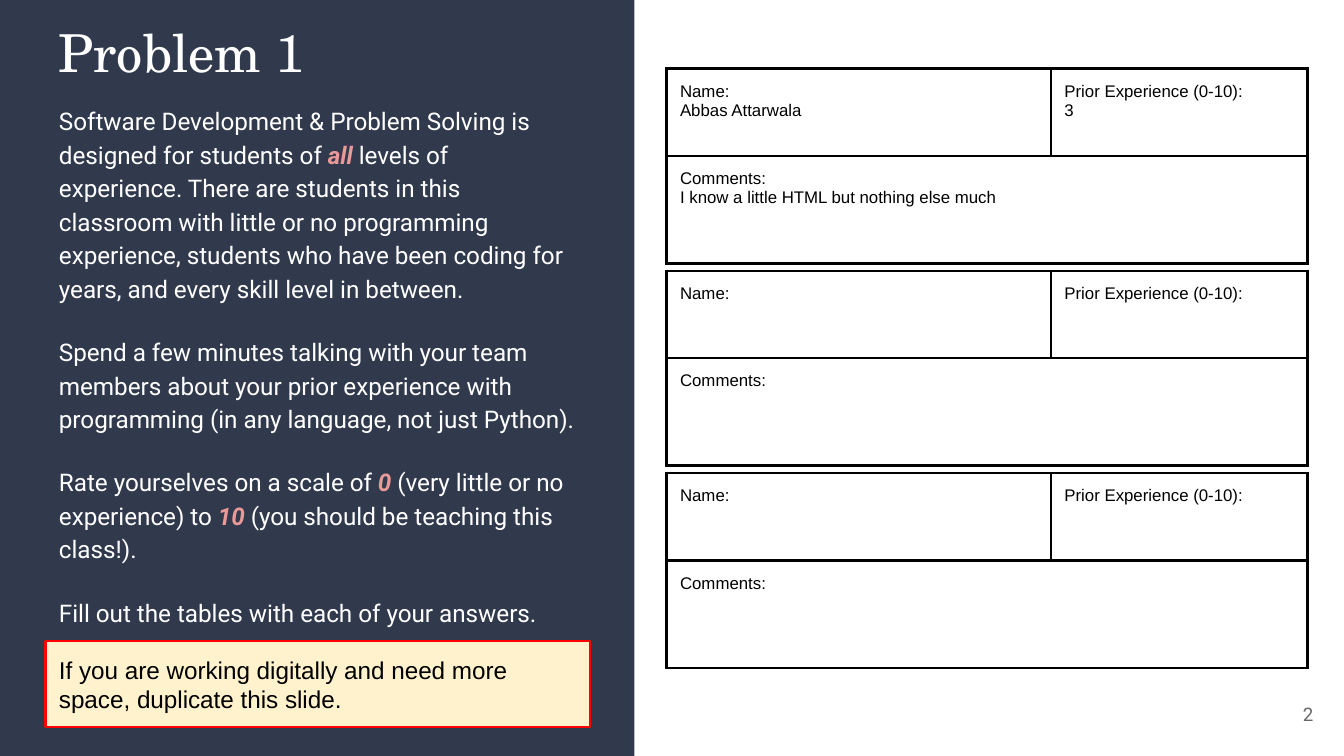
import pptx
import pptx.dml.color
import pptx.enum.shapes
import pptx.enum.text
import pptx.oxml
import pptx.oxml.ns
import pptx.util

Inches = pptx.util.Inches
Pt = pptx.util.Pt
ANCHOR = pptx.enum.text.MSO_ANCHOR
ALIGN = pptx.enum.text.PP_ALIGN
RECTANGLE = pptx.enum.shapes.MSO_SHAPE.RECTANGLE


def color(value):
    return pptx.dml.color.RGBColor.from_string(value)


def write(frame, paragraphs, *, font, size, fill="000000", accent="EA9999",
          align=ALIGN.LEFT, anchor=ANCHOR.TOP, line_spacing=None, gap=0):
    frame.word_wrap = True
    frame.vertical_anchor = anchor
    frame.margin_left = frame.margin_right = Inches(0.1)
    frame.margin_top = frame.margin_bottom = Inches(0.1)
    for index, text in enumerate(paragraphs):
        paragraph = frame.add_paragraph() if index else frame.paragraphs[0]
        paragraph.alignment = align
        paragraph.line_spacing = line_spacing
        paragraph.space_before = Pt(gap if index else 0)
        for position, part in enumerate(text.split("*")):
            emphasized = position % 2 == 1
            run = paragraph.add_run()
            run.text = part
            run.font.name = font
            run.font.size = Pt(size)
            run.font.bold = run.font.italic = emphasized
            run.font.color.rgb = color(accent if emphasized else fill)


presentation = pptx.Presentation()
presentation.slide_width = Inches(10)
presentation.slide_height = Inches(10 * 9 / 16)
slide = presentation.slides.add_slide(presentation.slide_layouts[6])
shapes = slide.shapes

panel = shapes.add_shape(RECTANGLE, 0, 0, Inches(4.72), presentation.slide_height)
panel.shadow.inherit = False
panel.fill.solid()
panel.fill.fore_color.rgb = color("31394D")
panel.line.fill.background()

title = shapes.add_textbox(Inches(0.34), Inches(0.05), Inches(4.05), Inches(0.7))
write(title.text_frame, ["Problem 1"], font="TeX Gyre Schola", size=28, fill="FFFFFF")

number = shapes.add_textbox(Inches(9.27), Inches(5.1), Inches(0.6), Inches(0.43))
write(number.text_frame, ["2"], font="Roboto", size=10, fill="666666",
      align=ALIGN.RIGHT, anchor=ANCHOR.MIDDLE)

body = shapes.add_textbox(Inches(0.34), Inches(0.66), Inches(4.05), Inches(4.11))
write(body.text_frame, [
    "Software Development & Problem Solving is designed for students of *all *levels of "
    "experience. There are students in this classroom with little or no programming "
    "experience, students who have been coding for years, and every skill level in between.",
    "Spend a few minutes talking with your team members about your prior experience with "
    "programming (in any language, not just Python).",
    "Rate yourselves on a scale of *0* (very little or no experience) to *10* "
    "(you should be teaching this class!).",
    "Fill out the tables with each of your answers.",
], font="Roboto", size=13, fill="FFFFFF", line_spacing=1.15, gap=16)

answers = [
    (["Abbas Attarwala"], ["3"], ["I know a little HTML but nothing else much"]),
    ([], [], []),
    ([], [], []),
]
for index, (name, experience, comments) in enumerate(answers):
    top = Inches(0.51 + index * 1.505)
    table = shapes.add_table(2, 2, Inches(4.96), top, Inches(4.77), Inches(1.45)).table
    table.first_row = table.horz_banding = False
    table.columns[0].width = Inches(2.86)
    table.columns[1].width = Inches(1.91)
    table.rows[0].height = Inches(0.65)
    table.rows[1].height = Inches(0.8)
    table.cell(1, 0).merge(table.cell(1, 1))
    entries = [
        (table.cell(0, 0), ["Name:"] + name),
        (table.cell(0, 1), ["Prior Experience (0-10):"] + experience),
        (table.cell(1, 0), ["Comments:"] + comments),
    ]
    for cell, lines in entries:
        write(cell.text_frame, lines, font="Arial", size=9)
    for cell in table.iter_cells():
        cell.margin_left = cell.margin_right = Inches(0.1)
        cell.margin_top = cell.margin_bottom = Inches(0.1)
        properties = cell._tc.get_or_add_tcPr()
        for side in ("lnL", "lnR", "lnT", "lnB"):
            properties.append(pptx.oxml.parse_xml(
                f'<a:{side} {pptx.oxml.ns.nsdecls("a")} w="{Pt(1.5)}"><a:solidFill>'
                f'<a:srgbClr val="000000"/></a:solidFill></a:{side}>'))
        cell.fill.background()

note = shapes.add_shape(RECTANGLE, Inches(0.34), Inches(4.77), Inches(4.05), Inches(0.64))
note.shadow.inherit = False
note.fill.solid()
note.fill.fore_color.rgb = color("FFF2CC")
note.line.color.rgb = color("FF0000")
note.line.width = Pt(1.5)
write(note.text_frame,
      ["If you are working digitally and need more space, duplicate this slide."],
      font="Arial", size=13, anchor=ANCHOR.MIDDLE)
note.text_frame.auto_size = pptx.enum.text.MSO_AUTO_SIZE.SHAPE_TO_FIT_TEXT

presentation.save("out.pptx")
